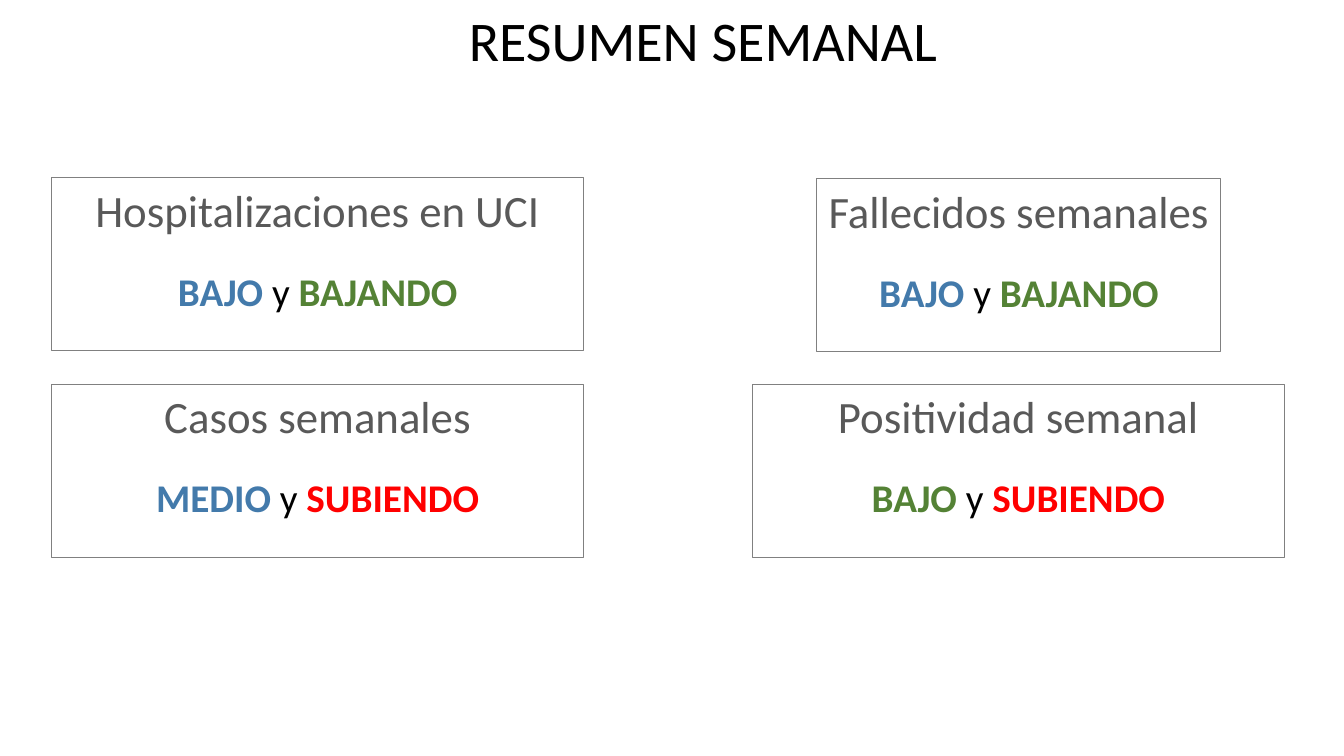
from dataclasses import dataclass
from pptx import Presentation
from pptx.dml.color import RGBColor as Rgb
from pptx.enum.shapes import MSO_SHAPE as Shape
from pptx.enum.text import MSO_ANCHOR as Anchor, PP_ALIGN as Align
from pptx.util import Inches, Pt


@dataclass(frozen=True)
class Theme:
    font: str = "Calibri"
    black: str = "000000"
    gray: str = "595959"
    edge: str = "808080"
    blue: str = "437AAB"
    green: str = "548235"
    red: str = "FF0000"
    title: int = 40
    head: int = 32
    body: int = 28
    gap: int = 22
    line: float = 0.75


theme = Theme()

TITLE = "RESUMEN SEMANAL"
# heading, (level, colour), (trend, colour), left, top, width
CARDS = [
    ("Hospitalizaciones en UCI", ("BAJO", theme.blue),
     ("BAJANDO", theme.green), 0.51, 1.76, 5.28),
    ("Fallecidos semanales", ("BAJO", theme.blue),
     ("BAJANDO", theme.green), 8.1, 1.77, 4.01),
    ("Casos semanales", ("MEDIO", theme.blue),
     ("SUBIENDO", theme.red), 0.51, 3.81, 5.28),
    ("Positividad semanal", ("BAJO", theme.green),
     ("SUBIENDO", theme.red), 7.46, 3.81, 5.28),
]
CARD_HIGH = 1.72


def add_run(para, text, size, color, bold=False):
    run = para.add_run()
    run.text = text
    font = run.font
    font.name, font.size, font.bold = theme.font, Pt(size), bold
    font.color.rgb = Rgb.from_string(color)


def add_title(slide):
    title = slide.shapes.title
    title.left, title.top = Inches(4.55), Inches(0)
    title.width, title.height = Inches(4.89), Inches(0.77)
    frame = title.text_frame
    frame.word_wrap = False
    frame.vertical_anchor = Anchor.TOP
    para = frame.paragraphs[0]
    para.alignment = Align.LEFT
    para.line_spacing = 1.0
    para.space_before = Pt(0)
    add_run(para, TITLE, theme.title, theme.black)


def add_card(slide, head, level, trend, left, top, width):
    card = slide.shapes.add_shape(
        Shape.RECTANGLE, Inches(left), Inches(top), Inches(width), Inches(CARD_HIGH))
    card.shadow.inherit = False
    card.fill.background()
    card.line.color.rgb = Rgb.from_string(theme.edge)
    card.line.width = Pt(theme.line)
    frame = card.text_frame
    frame.word_wrap = True
    frame.vertical_anchor = Anchor.TOP
    first, second = frame.paragraphs[0], frame.add_paragraph()
    first.alignment = second.alignment = Align.CENTER
    second.space_before = Pt(theme.gap)
    add_run(first, head, theme.head, theme.gray)
    add_run(second, level[0], theme.body, level[1], True)
    add_run(second, " y ", theme.body, theme.black)
    add_run(second, trend[0], theme.body, trend[1], True)


def main():
    deck = Presentation()
    deck.slide_width, deck.slide_height = Inches(13.33), Inches(7.5)
    slide = deck.slides.add_slide(deck.slide_layouts[5])
    add_title(slide)
    for card in CARDS:
        add_card(slide, *card)
    deck.save("out.pptx")


if __name__ == "__main__":
    main()
